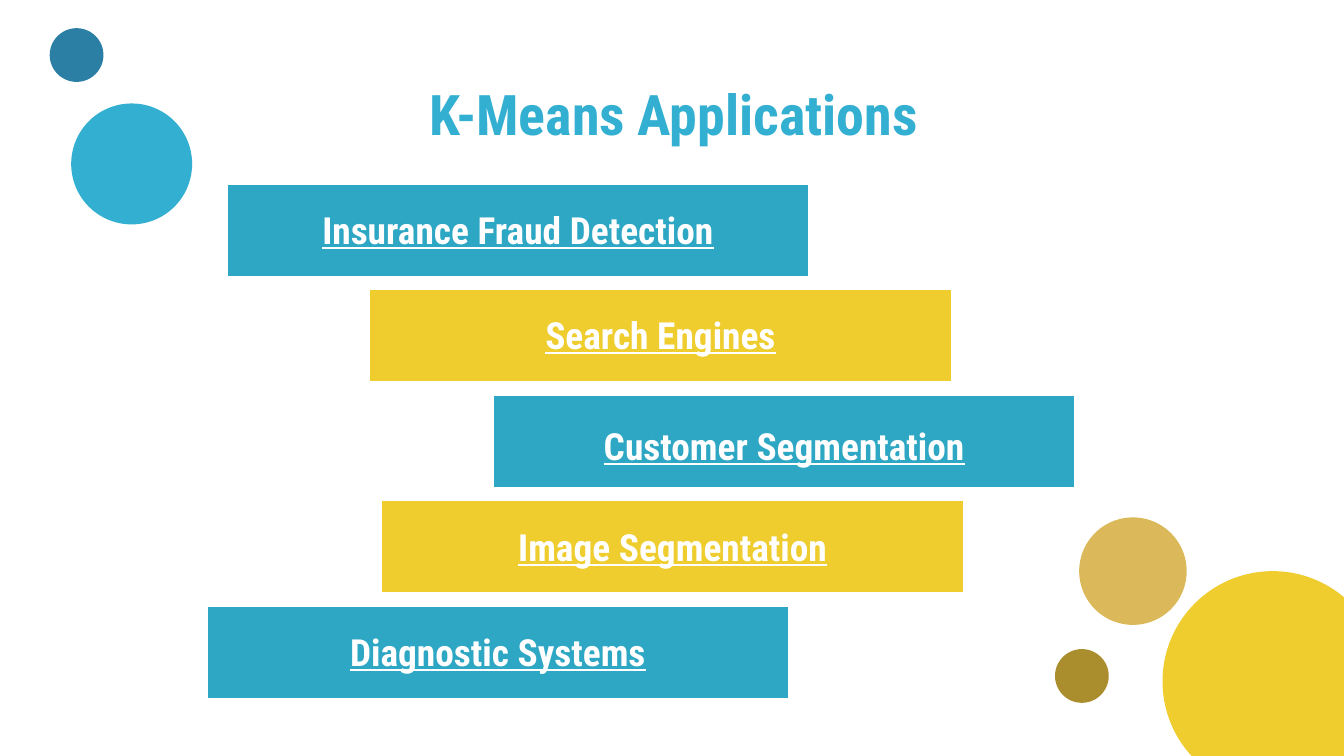
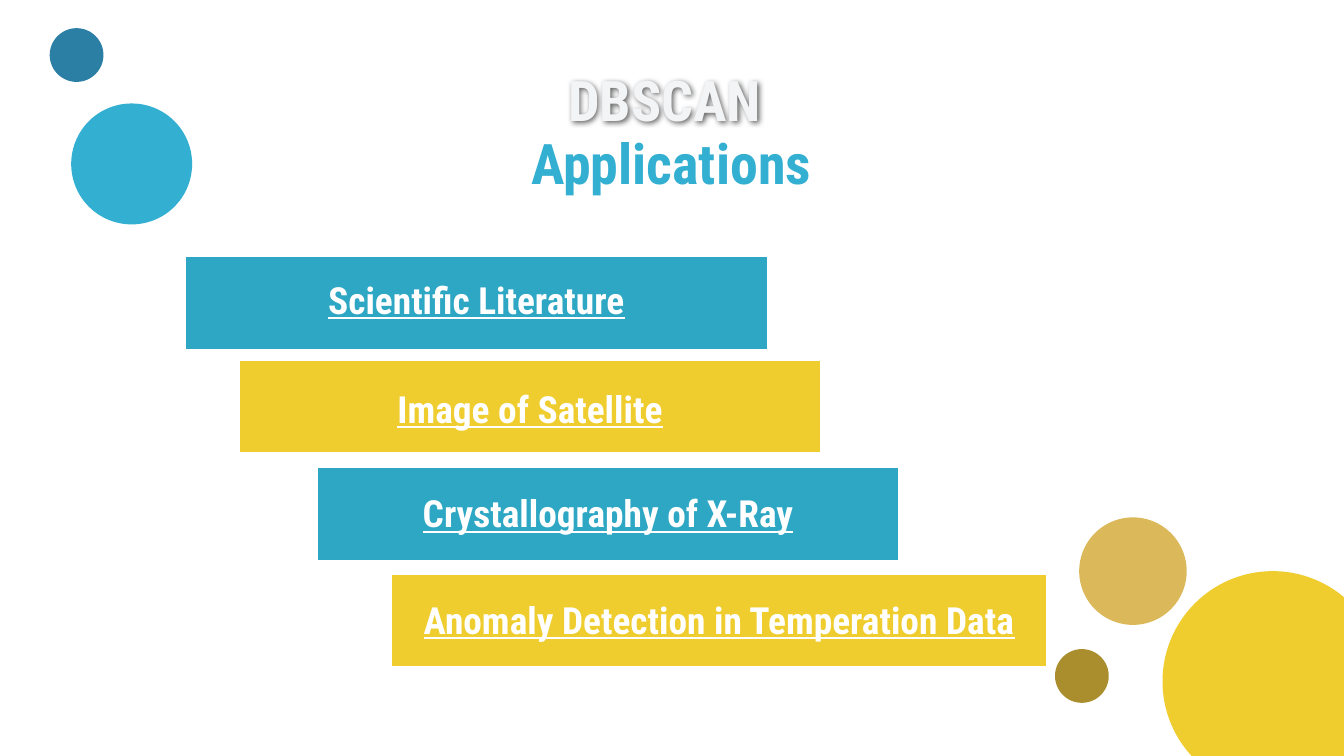
from lxml import etree
from pptx import Presentation
from pptx.dml.color import RGBColor
from pptx.enum.shapes import MSO_SHAPE
from pptx.enum.text import MSO_ANCHOR, MSO_AUTO_SIZE, PP_ALIGN
from pptx.oxml.ns import qn
from pptx.util import Pt

OVAL = MSO_SHAPE.OVAL
RECT = MSO_SHAPE.RECTANGLE
TOP = MSO_ANCHOR.TOP
GROW = MSO_AUTO_SIZE.SHAPE_TO_FIT_TEXT
FIXED = MSO_AUTO_SIZE.NONE
CENTER = PP_ALIGN.CENTER
PX = 9144
FONT = "Roboto Condensed"
BLUE, TEAL, GOLD, WHITE = "33AFD1", "2EA7C4", "EFCD2F", "FFFFFF"
BAR_H, TEXT_H = 69, 54

DOTS = [
    (865, 425, 164, GOLD),
    (803, 385, 80, "DBB95A"),
    (785, 483, 40, "AA8E2D"),
    (53, 77, 90, BLUE),
    (37, 21, 40, "2B7EA4"),
]

PAGES = [
    {
        "titles": [("K-Means Applications", 78, 49, 847, 63, BLUE, False)],
        "bars": [
            ("Insurance Fraud Detection", 169, 137, 433, 380, 7),
            ("Search Engines", 275, 215, 433, 433, 7),
            ("Customer Segmentation", 367, 294, 433, 392, 11),
            ("Image Segmentation", 284, 372, 433, 380, 8),
            ("Diagnostic Systems", 154, 451, 433, 433, 7),
        ],
    },
    {
        "titles": [
            ("Applications", 76, 86, 847, 63, BLUE, False),
            ("DBSCAN ", 377, 39, 245, 71, "F2F4F6", True),
        ],
        "bars": [
            ("Scientific Literature", 138, 191, 433, 380, 5),
            ("Image of Satellite", 178, 268, 433, 407, 9),
            ("Crystallography of X-Ray", 236, 348, 433, 392, 7),
            ("Anomaly Detection in Temperation Data", 291, 427, 488, 492, 7),
        ],
    },
]


def add_form(slide, kind, x, y, w, h, fill, edge=None):
    form = slide.shapes.add_shape(kind, x * PX, y * PX, w * PX, h * PX)
    form.shadow.inherit = False
    form.fill.solid()
    form.fill.fore_color.rgb = RGBColor.from_string(fill)
    if edge:
        form.line.color.rgb = RGBColor.from_string(edge)
        form.line.width = Pt(0.75)
    else:
        form.line.fill.background()
    return form


def add_text(slide, text, x, y, w, h, size, color, under=False, fit=FIXED):
    box = slide.shapes.add_textbox(int(x * PX), y * PX, w * PX, h * PX)
    frame = box.text_frame
    frame.word_wrap = True
    frame.auto_size = fit
    frame.vertical_anchor = TOP
    frame.margin_left = frame.margin_right = 10 * PX
    frame.margin_top = frame.margin_bottom = 10 * PX
    para = frame.paragraphs[0]
    para.alignment = CENTER
    run = para.add_run()
    run.text = text
    run.font.name = FONT
    run.font.size = Pt(size)
    run.font.bold = True
    if under:
        run.font.underline = True
    run.font.color.rgb = RGBColor.from_string(color)
    return box


deck = Presentation()
deck.slide_width = 1000 * PX
deck.slide_height = deck.slide_width * 9 // 16

for page in PAGES:
    slide = deck.slides.add_slide(deck.slide_layouts[6])
    slide.background.fill.solid()
    slide.background.fill.fore_color.rgb = RGBColor.from_string(WHITE)

    for x, y, size, color in DOTS:
        add_form(slide, OVAL, x, y, size, size, color)

    for i, (text, x, y, wide, span, drop) in enumerate(page["bars"]):
        add_form(slide, RECT, x, y, wide, BAR_H, (TEAL, GOLD)[i % 2], WHITE)
        left = x + (wide - span) / 2
        add_text(slide, text, left, y + drop, span, TEXT_H, 20, WHITE, True, GROW)

    for text, x, y, w, h, color, shade in page["titles"]:
        box = add_text(slide, text, x, y, w, h, 30, color)
        if shade:
            glow = etree.SubElement(box.element.spPr, qn("a:effectLst"))
            cast = etree.SubElement(glow, qn("a:outerShdw"), blurRad="38100",
                                    dist="9525", dir="2700000", algn="tl")
            tint = etree.SubElement(cast, qn("a:srgbClr"), val="000000")
            etree.SubElement(tint, qn("a:alpha"), val="60000")

deck.save("out.pptx")
